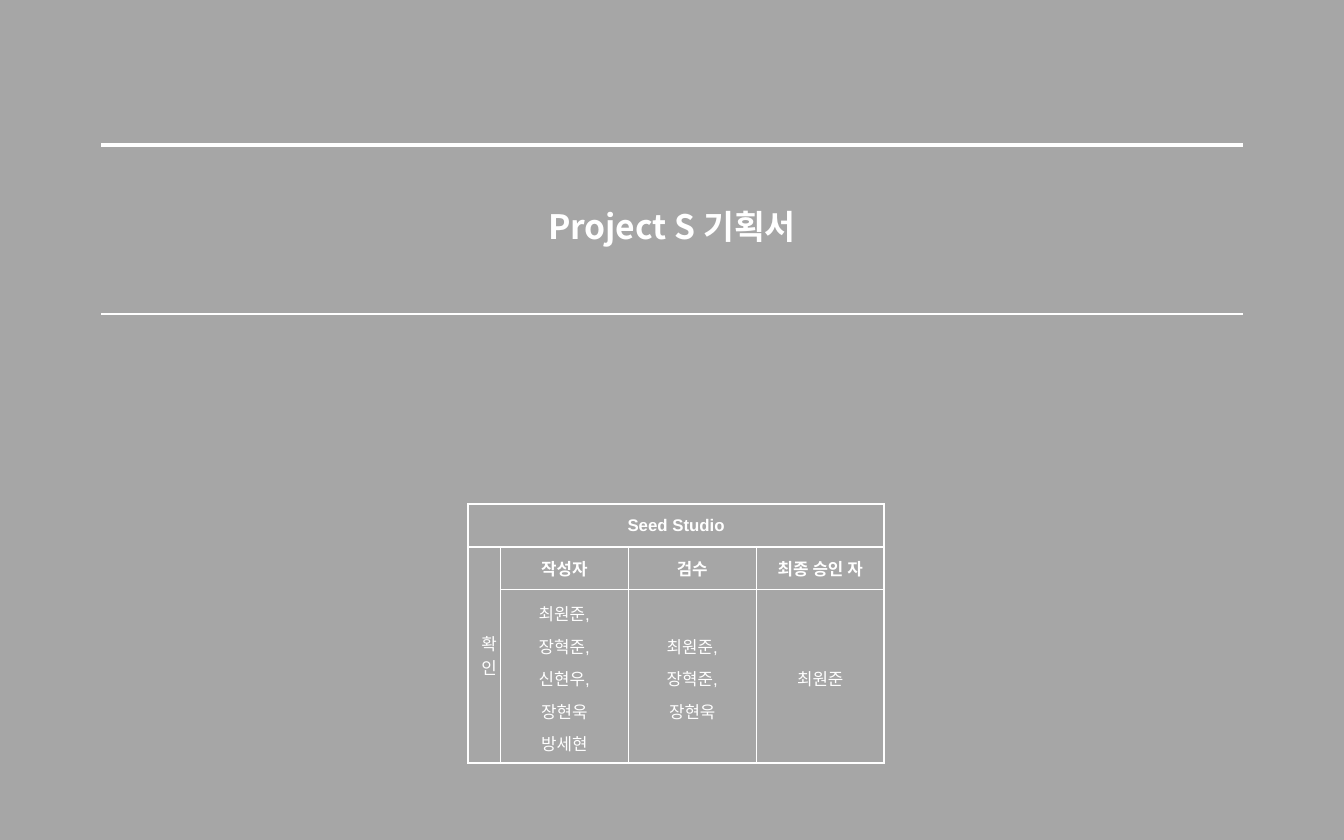
from dataclasses import dataclass

from lxml.etree import SubElement
from pptx import Presentation
from pptx.dml.color import RGBColor
from pptx.enum.text import MSO_ANCHOR as Anchor, PP_ALIGN as Align
from pptx.oxml.ns import qn
from pptx.util import Pt

EMU_PER_PX = 914400 / 134.4


@dataclass(frozen=True)
class Theme:
    background: str = "A6A6A6"
    ink: str = "FFFFFF"
    title_font: str = "Noto Sans CJK KR"
    table_font: str = "Arial"
    title_size: float = 18
    table_size: float = 9
    heavy: float = 3
    medium: float = 1
    thin: float = 0.25


THEME = Theme()


def px(length):
    return round(length * EMU_PER_PX)


def write(frame, lines, font, size, bold=False, spacing=None):
    frame.text = "\n".join(lines)
    for para in frame.paragraphs:
        para.alignment = Align.CENTER
        if spacing:
            para.line_spacing = spacing
            para.space_before = Pt(size * 0.2)
        for span in para.runs:
            span.font.name = font
            span.font.size = Pt(size)
            span.font.bold = bold
            span.font.color.rgb = RGBColor.from_string(THEME.ink)
            east_asian = SubElement(span.font._element, qn("a:ea"))
            east_asian.set("typeface", THEME.title_font)


def style_cell(cell, left=0, right=0, top=0, bottom=0):
    properties = cell._tc.get_or_add_tcPr()
    for side, width in zip("LRTB", (left, right, top, bottom)):
        line = SubElement(properties, qn(f"a:ln{side}"))
        if width:
            line.set("w", str(Pt(width)))
            fill = SubElement(line, qn("a:solidFill"))
            SubElement(fill, qn("a:srgbClr")).set("val", THEME.ink)
        else:
            SubElement(line, qn("a:noFill"))
    cell.fill.background()
    cell.vertical_anchor = Anchor.MIDDLE


def add_plain_table(page, box, column_widths, row_heights):
    frame = page.shapes.add_table(
        len(row_heights), len(column_widths), *map(px, box))
    table = frame.table
    table.first_row = False
    table.horz_banding = False
    for column, width in zip(table.columns, column_widths):
        column.width = px(width)
    for row, height in zip(table.rows, row_heights):
        row.height = px(height)
    return table


def add_title_band(page, box):
    left, top, width, height = box
    table = add_plain_table(page, box, [width], [height])
    style_cell(table.cell(0, 0), top=THEME.heavy, bottom=THEME.medium)

    side, text_height = 74, 71
    title = page.shapes.add_textbox(
        px(left - side), px(top + 46), px(width + 2 * side), px(text_height))
    title.text_frame.word_wrap = True
    title.text_frame.vertical_anchor = Anchor.MIDDLE
    write(title.text_frame, ["Project S 기획서"],
          THEME.title_font, THEME.title_size, bold=True)


def add_approval_table(page, box):
    left, top, width, height = box
    label_width, studio_height, header_height = 32, 43, 42
    person_width = (width - label_width) // 3
    table = add_plain_table(
        page, box, [label_width] + [person_width] * 3,
        [studio_height, header_height, height - studio_height - header_height])

    studio, label = table.cell(0, 0), table.cell(1, 0)
    studio.merge(table.cell(0, 3))
    label.merge(table.cell(2, 0))
    edge, inner = THEME.medium, THEME.thin
    style_cell(studio, edge, edge, edge, edge)
    style_cell(label, edge, inner, edge, edge)
    write(studio.text_frame, ["Seed Studio"],
          THEME.table_font, THEME.table_size, bold=True)
    write(label.text_frame, ["확", "인"], THEME.table_font, THEME.table_size)

    approvals = {
        "작성자": ["최원준,", "장혁준,", "신현우,", "장현욱", "방세현"],
        "검수": ["최원준,", "장혁준,", "장현욱"],
        "최종 승인 자": ["최원준"],
    }
    for column, (role, people) in enumerate(approvals.items(), start=1):
        header, names = table.cell(1, column), table.cell(2, column)
        right = edge if column == len(approvals) else inner
        style_cell(header, inner, right, edge, inner)
        style_cell(names, inner, right, inner, edge)
        write(header.text_frame, [role],
              THEME.table_font, THEME.table_size, bold=True)
        write(names.text_frame, people,
              THEME.table_font, THEME.table_size, spacing=1.2)


def main():
    deck = Presentation()
    deck.slide_width, deck.slide_height = px(1344), px(840)
    page = deck.slides.add_slide(deck.slide_layouts[6])
    page.background.fill.solid()
    page.background.fill.fore_color.rgb = RGBColor.from_string(THEME.background)
    add_title_band(page, (101, 145, 1142, 169))
    add_approval_table(page, (468, 504, 416, 259))
    deck.save("out.pptx")


if __name__ == "__main__":
    main()
